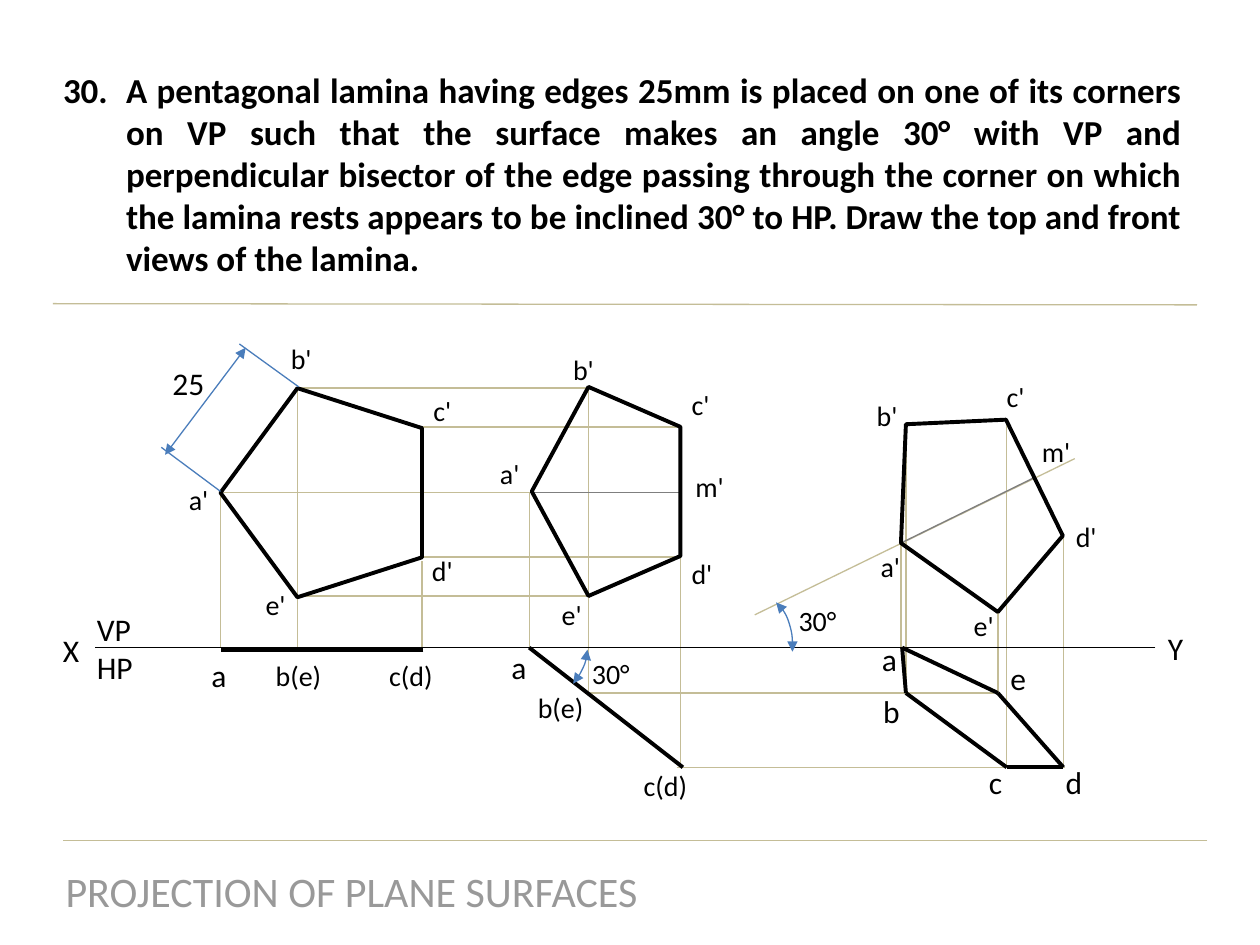
from typing import NamedTuple

from lxml.etree import SubElement
from pptx import Presentation
from pptx.dml.color import RGBColor
from pptx.enum.shapes import MSO_CONNECTOR, MSO_SHAPE
from pptx.enum.text import MSO_ANCHOR, MSO_AUTO_SIZE, PP_ALIGN
from pptx.oxml.ns import qn
from pptx.util import Inches, Pt

BLACK = RGBColor(0x00, 0x00, 0x00)
TAN = RGBColor(0xC4, 0xBD, 0x97)
GRAY = RGBColor(0x7F, 0x7F, 0x7F)
TITLE_GRAY = RGBColor(0x99, 0x99, 0x99)
BLUE = RGBColor(0x4A, 0x7D, 0xBB)
FONT = "Calibri"
THIN, THICK = 0.75, 2.25

QUESTION = (
    "A pentagonal lamina having edges 25mm is placed on one of its corners on VP "
    "such that the surface makes an angle 30° with VP and perpendicular bisector of "
    "the edge passing through the corner on which the lamina rests appears to be "
    "inclined 30° to HP. Draw the top and front views of the lamina."
)


class Segment(NamedTuple):
    x1: float
    y1: float
    x2: float
    y2: float


class Label(NamedTuple):
    text: str
    left: float
    top: float
    width: float
    size: int = 16


class Outline(NamedTuple):
    left: float
    top: float
    width: float
    height: float
    rotation: float
    adjustments: tuple = ()


# Levels shared by the views
XY = 5.14
TOP_BE, TOP_CD = 5.5, 6.09
AXIS = 3.91

RULES = [Segment(9.58, 6.67, 0.5, 6.67), Segment(9.5, 2.42, 0.42, 2.41)]
PROJECTORS = [
    # Horizontal, between the first and second front views
    Segment(1.75, AXIS, 4.22, AXIS),
    *(Segment(3.35, y, 5.4, y) for y in (3.39, 4.42)),
    *(Segment(2.36, y, 4.67, y) for y in (3.08, 4.73)),
    # Vertical: x, bottom, top
    *(Segment(x, bottom, x, top) for x, bottom, top in (
        (1.75, XY, AXIS), (2.36, XY, 3.08), (3.35, XY, 4.45),
        (4.2, XY, AXIS), (4.67, TOP_BE, 3.08), (5.4, TOP_CD, 3.39),
        (7.15, XY, 4.31), (7.19, TOP_BE, 3.36), (7.92, TOP_BE, 4.85),
        (7.99, TOP_CD, 3.33), (8.44, TOP_CD, 4.25))),
    # Horizontal, between the second and third top views
    Segment(4.66, TOP_BE, 7.89, TOP_BE),
    Segment(5.37, TOP_CD, 8.45, TOP_CD),
    # Inclined axis
    Segment(5.99, 4.88, 8.53, 3.64),
]
BISECTORS = [Segment(4.22, AXIS, 5.4, AXIS), Segment(7.15, 4.31, 8.21, 3.79)]
EDGE_VIEWS = [Segment(3.36, 5.16, 1.75, 5.16), Segment(5.42, TOP_CD, 4.2, XY)]
FINAL_TOP_VIEW = [(7.16, XY), (7.19, TOP_BE), (7.99, TOP_CD), (8.44, TOP_CD), (7.92, TOP_BE)]
EXTENSIONS = [Segment(1.9, 2.73, 2.37, 3.07), Segment(1.28, 3.55, 1.75, 3.9)]
DIMENSION = Segment(1.95, 2.76, 1.31, 3.61)

PENTAGONS = [
    Outline(1.72, 3.11, 1.66, 1.6, 270),
    Outline(3.98, 3.31, 1.66, 1.18, 270),
    Outline(6.85, 3.46, 1.66, 1.18, 243.9),
]
ANGLE_ARCS = [
    Outline(4.06, 4.89, 0.51, 0.83, 46.1, (174.47, 204.79)),
    Outline(5.78, 4.74, 0.51, 0.83, 3.4, (171.03, 0.32)),
]

LABELS = [
    # Reference line
    Label("X", 0.4, 4.96, 0.33, 18), Label("Y", 9.17, 4.94, 0.32, 18),
    Label("VP\nHP", 0.67, 4.79, 0.49, 18),
    # First position
    Label("a'", 1.4, 3.78, 0.36), Label("b'", 2.21, 2.66, 0.37),
    Label("c'", 3.34, 3.07, 0.35), Label("d'", 3.33, 4.34, 0.37),
    Label("e'", 2.01, 4.61, 0.36), Label("a", 1.58, 5.16, 0.34, 18),
    Label("b(e)", 2.09, 5.18, 0.57), Label("c(d)", 2.99, 5.18, 0.55),
    Label("25", 1.27, 2.84, 0.46, 18),
    # Second position
    Label("a'", 3.87, 3.57, 0.36), Label("b'", 4.45, 2.75, 0.37),
    Label("c'", 5.39, 3.03, 0.35), Label("d'", 5.39, 4.37, 0.37),
    Label("e'", 4.36, 4.69, 0.36), Label("m'", 5.42, 3.68, 0.43),
    Label("a", 3.96, 5.09, 0.28, 18), Label("b(e)", 4.17, 5.43, 0.57),
    Label("c(d)", 5.01, 6.05, 0.55), Label("30°", 4.6, 5.16, 0.56),
    # Third position
    Label("a'", 6.89, 4.31, 0.36), Label("b'", 6.86, 3.11, 0.37),
    Label("c'", 7.89, 2.96, 0.35), Label("d'", 8.44, 4.07, 0.37),
    Label("e'", 7.63, 4.78, 0.36), Label("m'", 8.17, 3.4, 0.43),
    Label("a", 6.9, 5.03, 0.28, 18), Label("b", 6.91, 5.44, 0.28, 18),
    Label("c", 7.75, 6.01, 0.28, 18), Label("d", 8.36, 6.01, 0.28, 18),
    Label("e", 7.92, 5.18, 0.28, 18), Label("30°", 6.24, 4.74, 0.56),
]


def style_line(shape, color: RGBColor, width: float, arrows: bool = False) -> None:
    shape.line.color.rgb = color
    shape.line.width = Pt(width)
    if arrows:
        line = shape.line._get_or_add_ln()
        for end in ("a:headEnd", "a:tailEnd"):
            SubElement(line, qn(end), type="triangle")


def draw_segment(slide, segment: Segment, color: RGBColor, width: float = THIN,
                 arrows: bool = False) -> None:
    connector = slide.shapes.add_connector(
        MSO_CONNECTOR.STRAIGHT, *(Inches(value) for value in segment))
    style_line(connector, color, width, arrows)
    SubElement(connector._element.spPr, qn("a:effectLst"))


def draw_outline(slide, kind: MSO_SHAPE, outline: Outline, color: RGBColor,
                 width: float, arrows: bool = False) -> None:
    shape = slide.shapes.add_shape(kind, *(Inches(value) for value in outline[:4]))
    shape.rotation = outline.rotation
    for index, value in enumerate(outline.adjustments):
        shape.adjustments[index] = value
    shape.shadow.inherit = False
    shape.fill.background()
    style_line(shape, color, width, arrows)


def add_run(paragraph, text: str, size: int, color: RGBColor, bold: bool = False) -> None:
    run = paragraph.add_run()
    run.text = text
    run.font.name = FONT
    run.font.size = Pt(size)
    run.font.bold = bold
    run.font.color.rgb = color


def draw_label(slide, label: Label) -> None:
    lines = label.text.split("\n")
    height = 0.1 + len(lines) * label.size / 60
    box = slide.shapes.add_textbox(
        Inches(label.left), Inches(label.top), Inches(label.width), Inches(height))
    frame = box.text_frame
    frame.word_wrap = False
    for index, line in enumerate(lines):
        paragraph = frame.add_paragraph() if index else frame.paragraphs[0]
        add_run(paragraph, line, label.size, BLACK)


def fill_placeholder(placeholder, box: tuple, text: str, size: int, color: RGBColor,
                     alignment: PP_ALIGN, anchor: MSO_ANCHOR, bold: bool = False):
    placeholder.left, placeholder.top, placeholder.width, placeholder.height = map(Inches, box)
    frame = placeholder.text_frame
    frame.auto_size = MSO_AUTO_SIZE.NONE
    frame.vertical_anchor = anchor
    paragraph = frame.paragraphs[0]
    paragraph.alignment = alignment
    paragraph.space_before = Pt(0)
    add_run(paragraph, text, size, color, bold)
    return paragraph


def main() -> None:
    presentation = Presentation()
    presentation.slide_width, presentation.slide_height = Inches(10), Inches(7.5)
    slide = presentation.slides.add_slide(presentation.slide_layouts[1])

    # Title and numbered question
    fill_placeholder(slide.shapes.title, (0.4, 6.82, 4.78, 0.5), "PROJECTION OF PLANE SURFACES",
                     24, TITLE_GRAY, PP_ALIGN.CENTER, MSO_ANCHOR.MIDDLE)
    question = fill_placeholder(slide.placeholders[1], (0.4, 0.49, 9.08, 1.78), QUESTION,
                                20, BLACK, PP_ALIGN.JUSTIFY, MSO_ANCHOR.TOP, bold=True)
    properties = question._p.get_or_add_pPr()
    properties.set("marL", str(Inches(0.5)))
    properties.set("indent", str(Inches(-0.5)))
    SubElement(properties, qn("a:buFont"), typeface="+mj-lt")
    SubElement(properties, qn("a:buAutoNum"), type="arabicPeriod", startAt="30")

    # Rules, projectors and reference line
    for segment in RULES + PROJECTORS:
        draw_segment(slide, segment, TAN)
    draw_segment(slide, Segment(9.17, XY, 0.75, XY), BLACK)
    for segment in BISECTORS:
        draw_segment(slide, segment, GRAY)

    # Front and top views of the lamina
    for pentagon in PENTAGONS:
        draw_outline(slide, MSO_SHAPE.REGULAR_PENTAGON, pentagon, BLACK, THICK)
    for segment in EDGE_VIEWS:
        draw_segment(slide, segment, BLACK, THICK)
    for start, end in zip(FINAL_TOP_VIEW, FINAL_TOP_VIEW[1:] + FINAL_TOP_VIEW[:1]):
        draw_segment(slide, Segment(*start, *end), BLACK, THICK)

    # Dimension, angles and labels
    for segment in EXTENSIONS:
        draw_segment(slide, segment, BLUE)
    draw_segment(slide, DIMENSION, BLUE, arrows=True)
    for arc in ANGLE_ARCS:
        draw_outline(slide, MSO_SHAPE.ARC, arc, BLUE, THIN, arrows=True)
    for label in LABELS:
        draw_label(slide, label)

    presentation.save("out.pptx")


if __name__ == "__main__":
    main()
